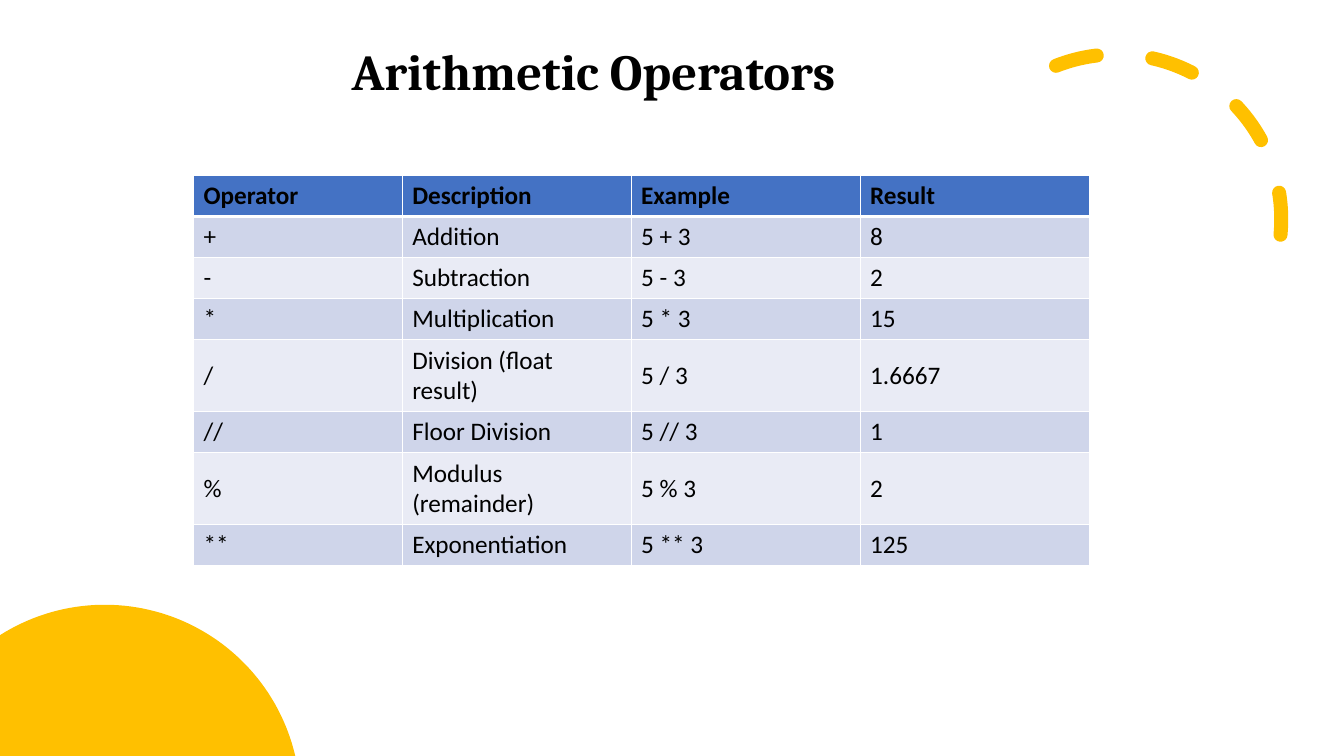
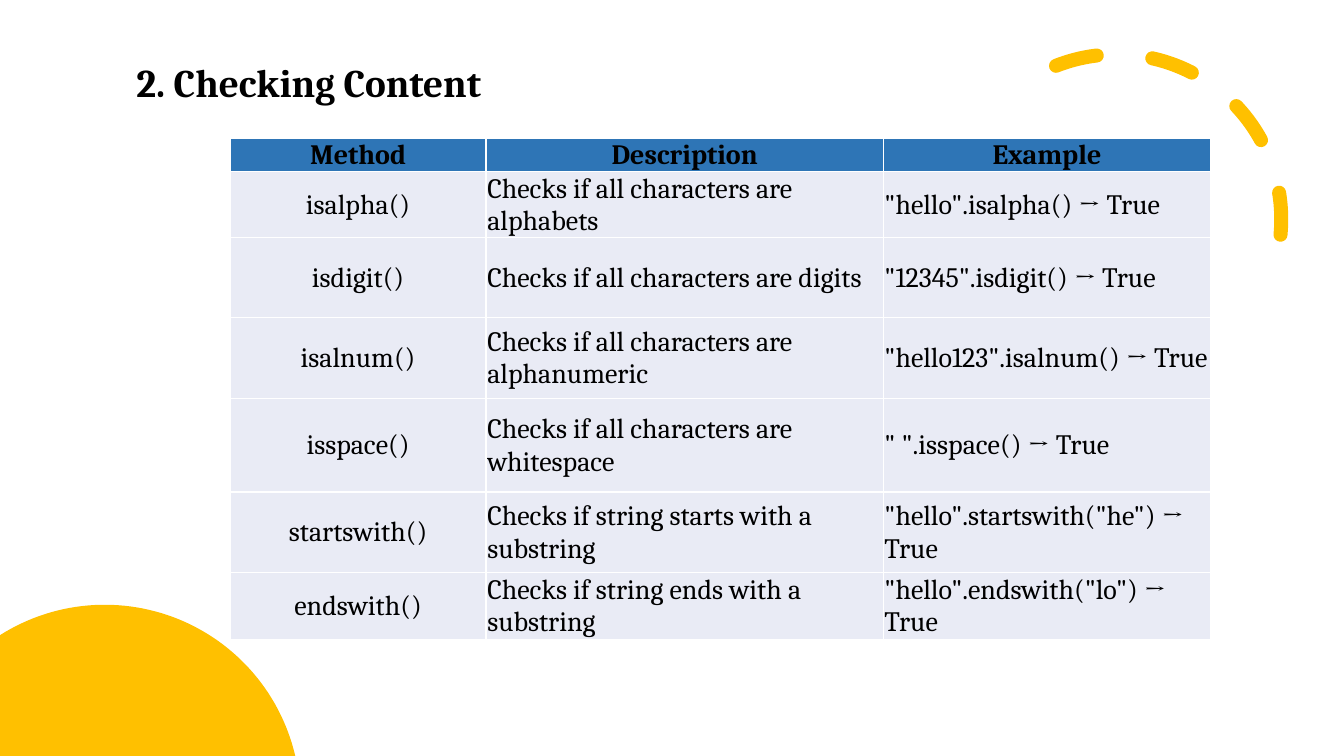
import math
from dataclasses import dataclass

from lxml import etree
from pptx import Presentation
from pptx.dml.color import RGBColor
from pptx.enum.dml import MSO_LINE
from pptx.enum.shapes import MSO_SHAPE
from pptx.enum.text import MSO_ANCHOR, MSO_AUTO_SIZE, PP_ALIGN
from pptx.oxml.ns import qn
from pptx.slide import Slide
from pptx.table import _Cell
from pptx.text.text import TextFrame
from pptx.util import Cm, Pt

DASH = MSO_LINE.DASH
ARC = MSO_SHAPE.ARC
MIDDLE = MSO_ANCHOR.MIDDLE
LEFT, CENTER = PP_ALIGN.LEFT, PP_ALIGN.CENTER
NO_AUTOFIT = MSO_AUTO_SIZE.NONE
TITLE_ONLY = 5
SLIDE_WIDTH, SLIDE_HEIGHT = 33.87, 19.05


@dataclass(frozen=True)
class Theme:
    accent: str = "FFC000"
    text: str = "000000"
    border: str = "FFFFFF"
    band_dark: str = "CFD5EA"
    band_light: str = "E9EBF5"
    operator_header: str = "4472C4"
    method_header: str = "2E75B6"
    serif: str = "Cambria"
    sans: str = "Calibri"
    main_title: int = 36
    section_title: int = 28
    operator_text: int = 18
    method_text: int = 20


THEME = Theme()


@dataclass(frozen=True)
class Title:
    """A heading; its box is left, top, width, height in centimetres."""
    text: str
    box: tuple[float, float, float, float]
    size: int


@dataclass(frozen=True)
class Grid:
    """A table's content and look; lengths are in centimetres."""
    rows: list[tuple[str, ...]]
    left: float
    top: float
    widths: list[float]
    heights: list[float]
    font: str
    size: int
    header_fill: str
    bands: tuple[str, ...]
    header_rule: int = 1
    margins: tuple[float, float, float, float] = (0.25, 0.13, 0.25, 0.13)
    header_align: PP_ALIGN = LEFT
    first_column_align: PP_ALIGN = LEFT


OPERATORS = Grid(
    rows=[
        ("Operator", "Description", "Example", "Result"),
        ("+", "Addition", "5 + 3", "8"),
        ("-", "Subtraction", "5 - 3", "2"),
        ("*", "Multiplication", "5 * 3", "15"),
        ("/", "Division (float result)", "5 / 3", "1.6667"),
        ("//", "Floor Division", "5 // 3", "1"),
        ("%", "Modulus (remainder)", "5 % 3", "2"),
        ("**", "Exponentiation", "5 ** 3", "125"),
    ],
    left=4.88, top=4.42,
    widths=[5.26] + [5.77] * 3,
    heights=[1.03] * 8,
    font=THEME.sans, size=THEME.operator_text,
    header_fill=THEME.operator_header,
    bands=(THEME.band_dark, THEME.band_light),
    header_rule=3,
)

METHODS = Grid(
    rows=[
        ("Method", "Description", "Example"),
        ("isalpha()", "Checks if all characters are alphabets",
         '"hello".isalpha() → True'),
        ("isdigit()", "Checks if all characters are digits",
         '"12345".isdigit() → True'),
        ("isalnum()", "Checks if all characters are alphanumeric",
         '"hello123".isalnum() → True'),
        ("isspace()", "Checks if all characters are whitespace",
         '" ".isspace() → True'),
        ("startswith()", "Checks if string starts with a substring",
         '"hello".startswith("he") → True'),
        ("endswith()", "Checks if string ends with a substring",
         '"hello".endswith("lo") → True'),
    ],
    left=5.8, top=3.48,
    widths=[6.45, 10.01, 8.25],
    heights=[0.76, 1.52, 2.03, 2.03, 2.36, 2.03, 1.68],
    font=THEME.serif, size=THEME.method_text,
    header_fill=THEME.method_header,
    bands=(THEME.band_light,),
    margins=(0.03, 0.03, 0.03, 0),
    header_align=CENTER, first_column_align=CENTER,
)

PAGES = [
    (Title("Arithmetic Operators", (8.61, 0.94, 13.11, 1.68),
           THEME.main_title), OPERATORS),
    (Title("2. Checking Content", (3.18, 1.34, 11.68, 1.45),
           THEME.section_title), METHODS),
]


def rgb(value: str) -> RGBColor:
    return RGBColor.from_string(value)


def format_text(frame: TextFrame, font: str, size: int, bold: bool,
                align: PP_ALIGN) -> None:
    for paragraph in frame.paragraphs:
        paragraph.alignment = align
        for run in paragraph.runs:
            run.font.name = font
            run.font.size = Pt(size)
            run.font.bold = bold
            run.font.color.rgb = rgb(THEME.text)


def add_dashed_arc(slide: Slide) -> None:
    arc = slide.shapes.add_shape(ARC, Cm(23.98), Cm(1.37), Cm(8.31), Cm(8.31))
    arc.adjustments[0] = 144.42
    arc.adjustments[1] = 0
    arc.rotation = 66.1
    arc.shadow.inherit = False
    arc.fill.background()
    arc.line.color.rgb = rgb(THEME.accent)
    arc.line.width = Pt(10)
    arc.line.dash_style = DASH
    properties = arc._element.spPr
    properties.find(qn("a:xfrm")).set("flipH", "1")
    properties.find(qn("a:ln")).set("cap", "rnd")


def add_corner_disc(slide: Slide) -> None:
    """Draw the part of a disc that lies inside the lower left corner."""
    center_x, center_y, radius, steps = 2.64, 20.17, 4.93, 60
    start = math.acos(-center_x / radius)
    end = math.asin((center_y - SLIDE_HEIGHT) / radius)
    angles = [start + (end - start) * step / steps for step in range(steps + 1)]
    rim = [(Cm(center_x + radius * math.cos(angle)),
            Cm(center_y - radius * math.sin(angle))) for angle in angles]
    outline = slide.shapes.build_freeform(0, Cm(SLIDE_HEIGHT))
    outline.add_line_segments(rim, close=True)
    disc = outline.convert_to_shape()
    disc.shadow.inherit = False
    disc.fill.solid()
    disc.fill.fore_color.rgb = rgb(THEME.accent)
    disc.line.fill.background()


def set_title(slide: Slide, title: Title) -> None:
    heading = slide.shapes.title
    heading.left, heading.top, heading.width, heading.height = map(Cm, title.box)
    frame = heading.text_frame
    frame.text = title.text
    frame.auto_size = NO_AUTOFIT
    frame.word_wrap = True
    frame.vertical_anchor = MIDDLE
    format_text(frame, THEME.serif, title.size, True, LEFT)


def set_borders(cell: _Cell, top: int, bottom: int) -> None:
    properties = cell._tc.get_or_add_tcPr()
    for side, points in (("L", 1), ("R", 1), ("T", top), ("B", bottom)):
        line = etree.SubElement(properties, qn(f"a:ln{side}"), w=str(Pt(points)))
        fill = etree.SubElement(line, qn("a:solidFill"))
        etree.SubElement(fill, qn("a:srgbClr"), val=THEME.border)


def add_grid(slide: Slide, grid: Grid) -> None:
    table = slide.shapes.add_table(
        len(grid.rows), len(grid.widths), Cm(grid.left), Cm(grid.top),
        Cm(sum(grid.widths)), Cm(sum(grid.heights))).table
    for column, width in zip(table.columns, grid.widths):
        column.width = Cm(width)
    for row, height in zip(table.rows, grid.heights):
        row.height = Cm(height)
    for r, texts in enumerate(grid.rows):
        header = r == 0
        fill = grid.header_fill if header else grid.bands[(r - 1) % len(grid.bands)]
        for c, text in enumerate(texts):
            cell = table.cell(r, c)
            cell.text_frame.text = text
            if header:
                align = grid.header_align
            else:
                align = grid.first_column_align if c == 0 else LEFT
            format_text(cell.text_frame, grid.font, grid.size, header, align)
            cell.vertical_anchor = MIDDLE
            (cell.margin_left, cell.margin_top,
             cell.margin_right, cell.margin_bottom) = map(Cm, grid.margins)
            set_borders(cell, top=grid.header_rule if r == 1 else 1,
                        bottom=grid.header_rule if header else 1)
            cell.fill.solid()
            cell.fill.fore_color.rgb = rgb(fill)


def main() -> None:
    deck = Presentation()
    deck.slide_width, deck.slide_height = Cm(SLIDE_WIDTH), Cm(SLIDE_HEIGHT)
    for title, grid in PAGES:
        slide = deck.slides.add_slide(deck.slide_layouts[TITLE_ONLY])
        add_dashed_arc(slide)
        add_corner_disc(slide)
        set_title(slide, title)
        add_grid(slide, grid)
    deck.save("out.pptx")


if __name__ == "__main__":
    main()
